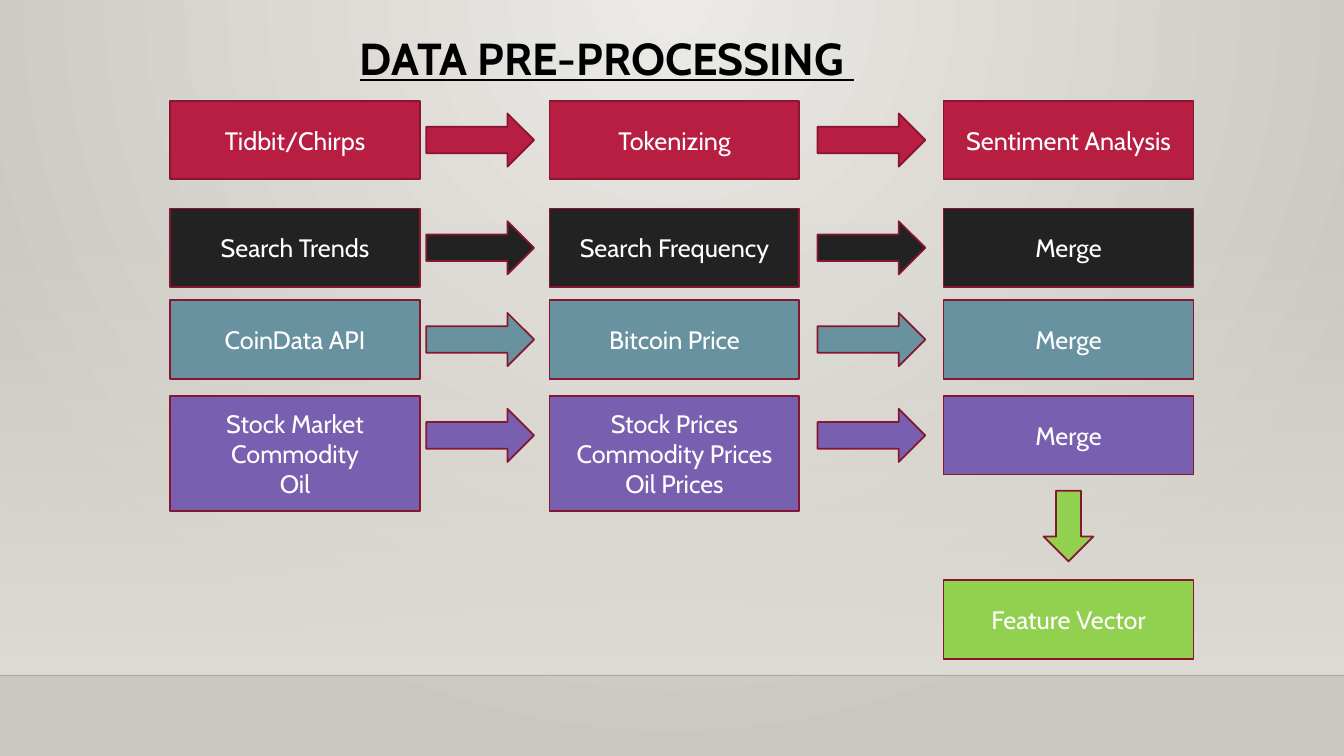
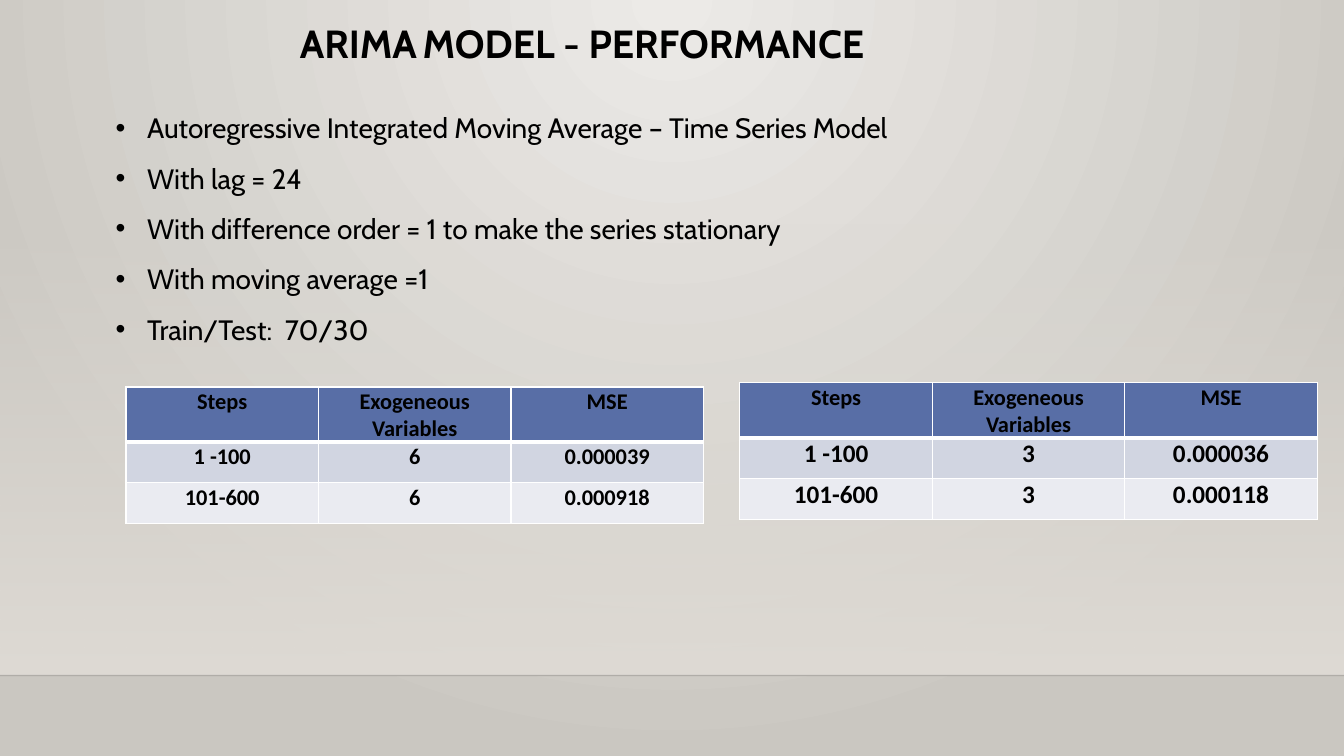
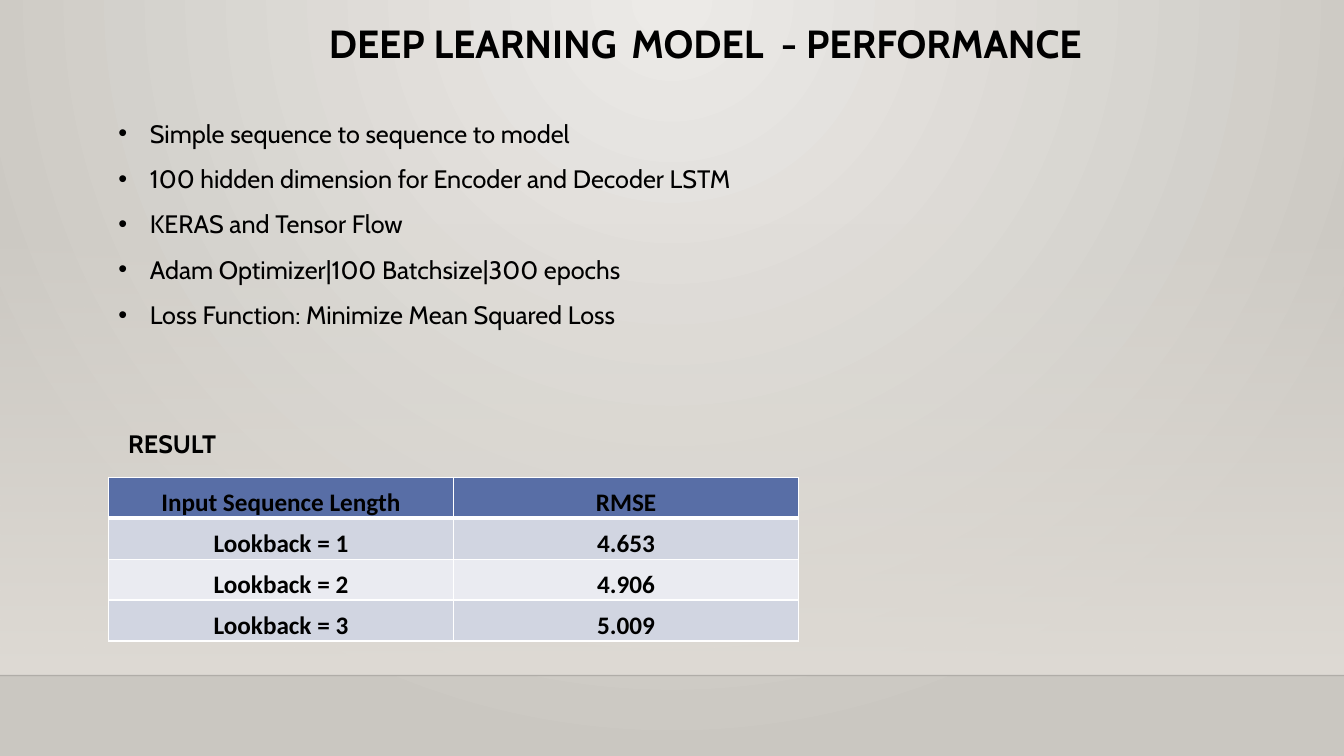
from pptx import Presentation
from pptx.dml.color import RGBColor
from pptx.enum.shapes import MSO_CONNECTOR, MSO_SHAPE
from pptx.enum.text import MSO_ANCHOR, MSO_AUTO_SIZE, PP_ALIGN
from pptx.oxml import parse_xml
from pptx.oxml.ns import nsdecls
from pptx.util import Pt

RECTANGLE = MSO_SHAPE.RECTANGLE
RIGHT_ARROW = MSO_SHAPE.RIGHT_ARROW
DOWN_ARROW = MSO_SHAPE.DOWN_ARROW
TOP, MIDDLE, BOTTOM = MSO_ANCHOR.TOP, MSO_ANCHOR.MIDDLE, MSO_ANCHOR.BOTTOM
LEFT, CENTER = PP_ALIGN.LEFT, PP_ALIGN.CENTER

SLIDE_WIDTH, SLIDE_HEIGHT = 960, 540
TITLE_ONLY = 5
FONT, TABLE_FONT = "Cabin", "Calibri"
BLACK, WHITE = "000000", "FFFFFF"
RED, DARK, TEAL, PURPLE, GREEN = "B71E42", "222222", "6892A0", "795FAF", "92D050"
OUTLINE = "871631"
BACKGROUND_CENTER, BACKGROUND_EDGE, BAND = "ECEAE7", "CAC7C1", "DFDBD5"
HEADER_FILL, ROW_FILLS = "586EA6", ("D1D5E1", "EAEBF1")

BOX_WIDTH, BOX_HEIGHT, TALL_BOX_HEIGHT = 178.5, 56, 82
BOX_LEFTS = (121.5, 392.5, 674)
ARROW_LEFTS = (304.5, 584)
ARROW_WIDTH, ARROW_HEIGHT = 77, 38
PIPELINE = (
    (72, RED, ("Tidbit/Chirps", "Tokenizing", "Sentiment Analysis")),
    (149, DARK, ("Search Trends", "Search Frequency", "Merge")),
    (214.5, TEAL, ("CoinData API", "Bitcoin Price", "Merge")),
    (283, PURPLE, ("Stock Market\nCommodity\nOil",
                   "Stock Prices\nCommodity Prices\nOil Prices", "Merge")),
)


def rgb(color):
    return RGBColor.from_string(color)


def points(*lengths):
    return [Pt(length) for length in lengths]


def format_runs(text_frame, size, color=BLACK, bold=False, font=FONT, align=LEFT):
    for paragraph in text_frame.paragraphs:
        paragraph.alignment = align
        for run in paragraph.runs:
            run.font.name = font
            run.font.size = Pt(size)
            run.font.bold = bold
            run.font.color.rgb = rgb(color)


def set_gradient(fill, owner, stops, direction):
    """Give the fill inside owner (color, alpha) stops and a direction in XML."""
    fill.gradient()
    old = owner.xpath(".//a:gradFill")[0]
    stop_xml = "".join(
        f'<a:gs pos="{position}"><a:srgbClr val="{color}">'
        f'<a:alpha val="{alpha}"/></a:srgbClr></a:gs>'
        for position, (color, alpha) in zip((0, 100000), stops))
    gradient = parse_xml(f'<a:gradFill {nsdecls("a")} rotWithShape="1">'
                         f'<a:gsLst>{stop_xml}</a:gsLst>{direction}</a:gradFill>')
    old.getparent().replace(old, gradient)


def style_master(presentation, slide):
    """Set the master background and move the band and its edge line there."""
    master = presentation.slide_master
    set_gradient(master.background.fill, master.element,
                 ((BACKGROUND_CENTER, 100000), (BACKGROUND_EDGE, 100000)),
                 '<a:path path="circle"><a:fillToRect l="43000" t="0" '
                 'r="43000" b="100000"/></a:path>')

    band = slide.shapes.add_shape(RECTANGLE, *points(0, 159, SLIDE_WIDTH, 323.5))
    band.shadow.inherit = False
    band.line.fill.background()
    set_gradient(band.fill, band.element, ((BAND, 0), (BAND, 100000)),
                 '<a:lin ang="5400000" scaled="0"/>')

    edge = slide.shapes.add_connector(MSO_CONNECTOR.STRAIGHT,
                                      *points(0, 482.5, SLIDE_WIDTH, 482.5))
    edge.line.width = Pt(1)
    edge.line.color.rgb = rgb(BLACK)
    edge.element.xpath(".//a:ln//a:srgbClr")[0].append(
        parse_xml(f'<a:alpha {nsdecls("a")} val="20000"/>'))
    edge.element.spPr.append(parse_xml(f'<a:effectLst {nsdecls("a")}/>'))

    for position, shape in enumerate((band, edge), start=2):
        master.shapes.element.insert(position, shape.element)


def add_titled_slide(presentation, box, size, parts, underline=False):
    """Add a slide whose title joins the parts; a blank part is a smaller space."""
    slide = presentation.slides.add_slide(presentation.slide_layouts[TITLE_ONLY])
    title = slide.shapes.title
    title.left, title.top, title.width, title.height = points(*box)
    frame = title.text_frame
    frame.auto_size = MSO_AUTO_SIZE.NONE
    frame.vertical_anchor = TOP
    for part in parts:
        frame.paragraphs[0].add_run().text = part
    format_runs(frame, size, bold=True, align=CENTER)
    for run in frame.paragraphs[0].runs:
        run.font.underline = underline
        if run.text == " ":
            run.font.size = Pt(18)
    return slide


def add_block(slide, kind, box, color, text=""):
    block = slide.shapes.add_shape(kind, *points(*box))
    block.shadow.inherit = False
    block.fill.solid()
    block.fill.fore_color.rgb = rgb(color)
    block.line.color.rgb = rgb(OUTLINE)
    block.line.width = Pt(1.25)
    if text:
        block.text_frame.text = text
        block.text_frame.vertical_anchor = MIDDLE
        format_runs(block.text_frame, 18, WHITE, align=CENTER)


def add_text(slide, box, text, size, bold=False):
    frame = slide.shapes.add_textbox(*points(*box)).text_frame
    frame.word_wrap = True
    frame.text = text
    format_runs(frame, size, bold=bold)
    return frame


def add_bullets(slide, box, lines, size):
    frame = add_text(slide, box, "\n".join(lines), size)
    for paragraph in frame.paragraphs:
        paragraph.line_spacing = 1.5
        properties = paragraph._p.get_or_add_pPr()
        properties.set("marL", str(Pt(22.5)))
        properties.set("indent", str(-Pt(22.5)))
        properties.append(parse_xml(f'<a:buFont {nsdecls("a")} typeface="Arial"/>'))
        properties.append(parse_xml(f'<a:buChar {nsdecls("a")} char="•"/>'))


def set_borders(cell, row):
    """Draw white borders, thicker between the header and the first row."""
    widths = {"L": 1, "R": 1, "T": 3 if row == 1 else 1, "B": 3 if row == 0 else 1}
    properties = cell._tc.get_or_add_tcPr()
    for position, (side, width) in enumerate(widths.items()):
        properties.insert(position, parse_xml(
            f'<a:ln{side} {nsdecls("a")} w="{Pt(width)}"><a:solidFill>'
            f'<a:srgbClr val="{WHITE}"/></a:solidFill></a:ln{side}>'))


def add_result_table(slide, left, top, column_width, rows, header_height=29.2,
                     header_size=18, body_size=18, anchor=TOP):
    row_height = 29.2
    columns = len(rows[0])
    height = header_height + row_height * (len(rows) - 1)
    table = slide.shapes.add_table(
        len(rows), columns, *points(left, top, column_width * columns, height)).table
    for column in table.columns:
        column.width = Pt(column_width)
    for row, values in enumerate(rows):
        table.rows[row].height = Pt(row_height if row else header_height)
        for column, value in enumerate(values):
            cell = table.cell(row, column)
            cell.text = value
            cell.vertical_anchor = anchor
            cell.margin_left = cell.margin_right = cell.margin_top = Pt(0.72)
            cell.margin_bottom = 0
            cell.fill.solid()
            cell.fill.fore_color.rgb = rgb(ROW_FILLS[(row - 1) % 2] if row else HEADER_FILL)
            set_borders(cell, row)
            format_runs(cell.text_frame, body_size if row else header_size,
                        bold=True, font=TABLE_FONT, align=CENTER)


def add_pipeline_row(slide, top, color, steps):
    for left, step in zip(BOX_LEFTS, steps):
        height = TALL_BOX_HEIGHT if "\n" in step else BOX_HEIGHT
        add_block(slide, RECTANGLE, (left, top, BOX_WIDTH, height), color, step)
    arrow_top = top + (BOX_HEIGHT - ARROW_HEIGHT) / 2
    for left in ARROW_LEFTS:
        add_block(slide, RIGHT_ARROW, (left, arrow_top, ARROW_WIDTH, ARROW_HEIGHT), color)


def build_preprocessing(presentation):
    slide = add_titled_slide(presentation, (181, 18.5, 505.5, 46), 32,
                             ["DATA PRE-PROCESSING "], underline=True)
    for top, color, steps in PIPELINE:
        add_pipeline_row(slide, top, color, steps)
    left, arrow_width = BOX_LEFTS[-1], 35.5
    arrow_left = left + (BOX_WIDTH - arrow_width) / 2
    add_block(slide, DOWN_ARROW, (arrow_left, 350.5, arrow_width, 50.5), GREEN)
    add_block(slide, RECTANGLE, (left, 414.5, BOX_WIDTH, BOX_HEIGHT), GREEN,
              "Feature Vector")
    return slide


def build_arima(presentation):
    slide = add_titled_slide(presentation, (157, 10, 517.5, 41), 28,
                             ["ARIMA", " ", "MODEL - PERFORMANCE"])
    add_bullets(slide, (75.5, 63.5, 793, 185), (
        "Autoregressive Integrated Moving Average – Time Series Model",
        "With lag = 24",
        "With difference order = 1 to make the series stationary",
        "With moving average =1",
        "Train/Test:  70/30"), 20)
    for left, top, body_size, variables, errors in (
            (90, 276.5, 16, "6", ("0.000039", "0.000918")),
            (528.5, 273.5, 18, "3", ("0.000036", "0.000118"))):
        rows = [("Steps", "Exogeneous Variables", "MSE")]
        rows += [(steps, variables, error)
                 for steps, error in zip(("1 -100", "101-600"), errors)]
        add_result_table(slide, left, top, 137.5, rows, header_height=38.9,
                         header_size=16, body_size=body_size)


def build_deep_learning(presentation):
    slide = add_titled_slide(presentation, (157, 10, 693.5, 41), 28,
                             ["DEEP LEARNING ", " ", "MODEL  - PERFORMANCE"])
    add_bullets(slide, (77.5, 70, 805.5, 167), (
        "Simple sequence to sequence to model",
        "100 hidden dimension for Encoder and Decoder LSTM",
        "KERAS and Tensor Flow",
        "Adam Optimizer|100 Batchsize|300 epochs",
        "Loss Function: Minimize Mean Squared Loss"), 18)
    add_text(slide, (84.5, 302.5, 267, 29), "RESULT", 18, bold=True)
    add_result_table(slide, 77.5, 341, 246.5, (
        ("Input Sequence Length", "RMSE"),
        ("Lookback = 1", "4.653"),
        ("Lookback = 2", "4.906"),
        ("Lookback = 3", "5.009")), anchor=BOTTOM)


def main():
    presentation = Presentation()
    presentation.slide_width, presentation.slide_height = points(SLIDE_WIDTH, SLIDE_HEIGHT)
    first_slide = build_preprocessing(presentation)
    style_master(presentation, first_slide)
    build_arima(presentation)
    build_deep_learning(presentation)
    presentation.save("out.pptx")


if __name__ == "__main__":
    main()
